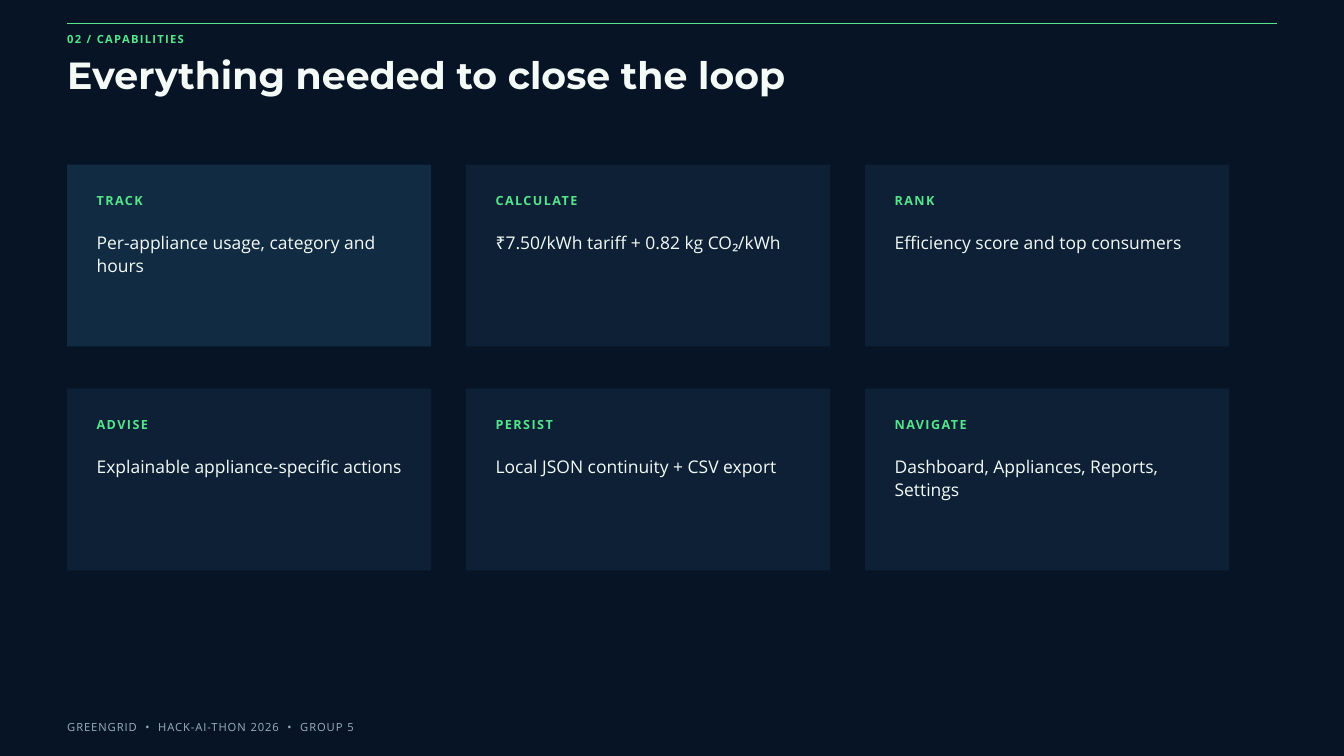
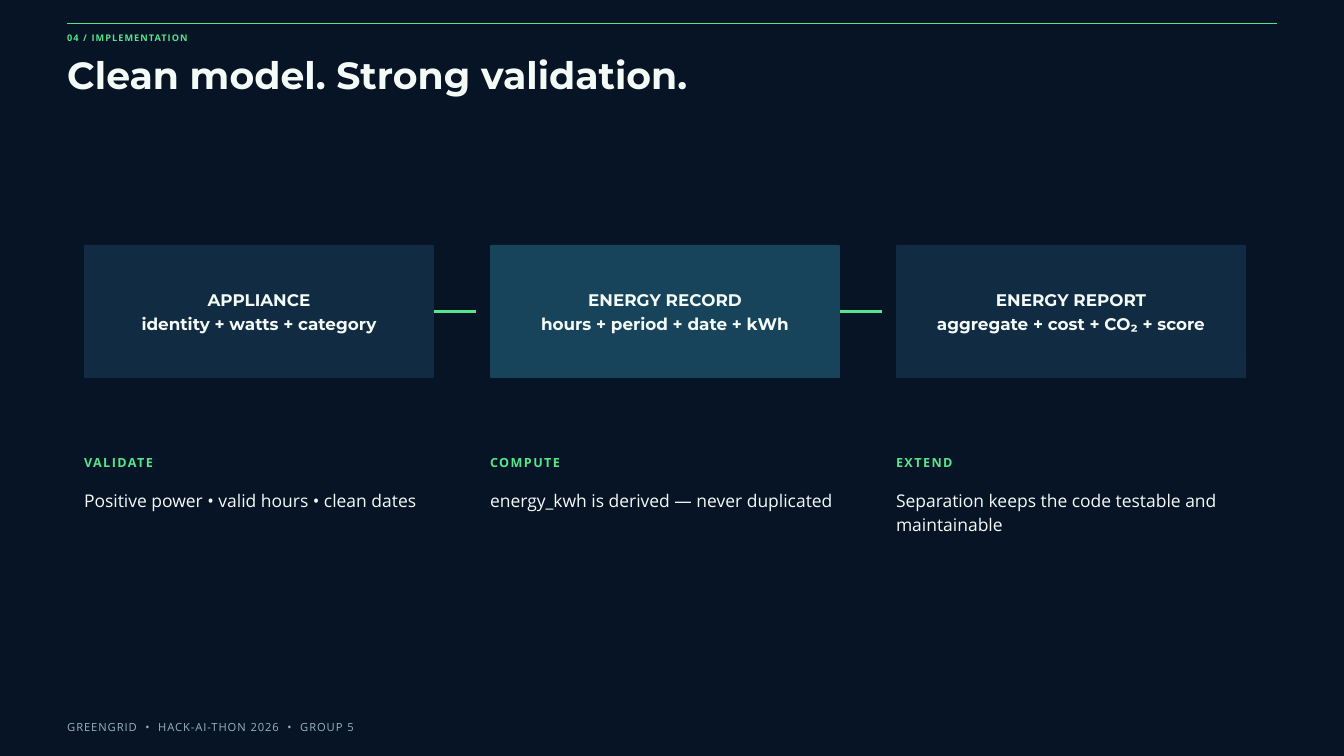
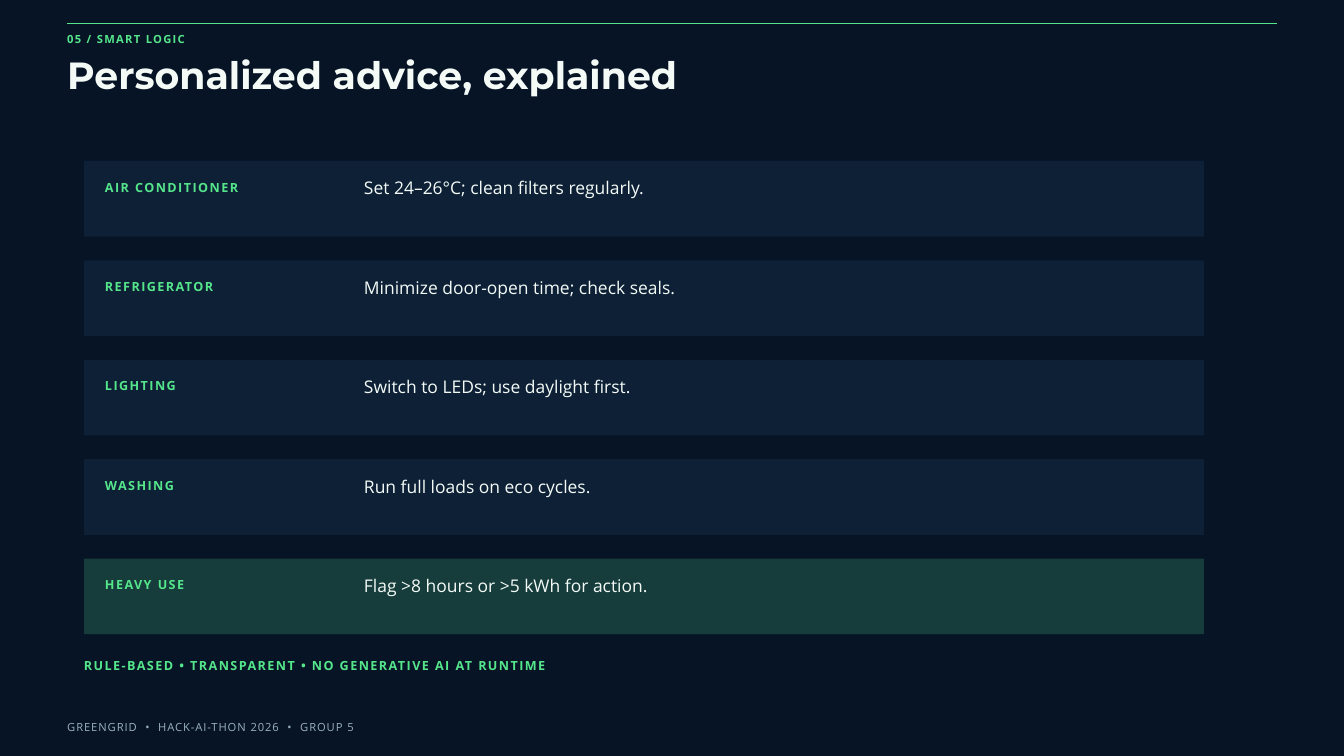
from lxml import etree
from pptx import Presentation
from pptx.dml.color import RGBColor
from pptx.enum.shapes import MSO_CONNECTOR, MSO_SHAPE
from pptx.enum.text import MSO_ANCHOR, MSO_AUTO_SIZE, PP_ALIGN
from pptx.oxml.ns import qn
from pptx.util import Inches, Pt

STRAIGHT = MSO_CONNECTOR.STRAIGHT
RECTANGLE, ROUNDED = MSO_SHAPE.RECTANGLE, MSO_SHAPE.ROUNDED_RECTANGLE
LEFT, CENTER = PP_ALIGN.LEFT, PP_ALIGN.CENTER
TOP, MIDDLE = MSO_ANCHOR.TOP, MSO_ANCHOR.MIDDLE
GROW = MSO_AUTO_SIZE.SHAPE_TO_FIT_TEXT
RIGHT_SIDE = 3

COLORS = {
    "night": "071426",
    "panel": "0D2036",
    "panel_light": "112B43",
    "teal": "17445A",
    "forest": "163D3C",
    "green": "55E68B",
    "white": "F4FBF7",
    "muted": "9BB1BD",
}
HEADING_FONT, BODY_FONT = "Montserrat", "Open Sans"
GRID_COLUMNS, GRID_ROWS = 96, 54

TEXT_STYLES = {
    "eyebrow": dict(size=12, color="green", bold=True, tracking=1.4),
    "small_eyebrow": dict(size=9.75, color="green", bold=True, tracking=1.2),
    "title": dict(size=40.5, font=HEADING_FONT, bold=True, leading=1.08),
    "label": dict(size=13.5, color="green", bold=True, tracking=1.6),
    "body": dict(size=18.75, leading=1.35),
    "node": dict(size=18, font=HEADING_FONT, bold=True, align=CENTER),
    "footer": dict(size=12, color="muted", tracking=1),
}
FOOTER = "GREENGRID  •  HACK-AI-THON 2026  •  GROUP 5"


def rgb(name):
    return RGBColor.from_string(COLORS[name])


def write_text(frame, text, *, size, font=BODY_FONT, color="white", bold=False,
               tracking=0, leading=1.4, align=LEFT, anchor=TOP, insets=(0, 0, 0, 0)):
    """Fill a frame, one paragraph per line; insets run left, top, right, bottom."""
    frame.word_wrap = True
    frame.vertical_anchor = anchor
    (frame.margin_left, frame.margin_top,
     frame.margin_right, frame.margin_bottom) = map(Inches, insets)
    for index, line in enumerate(text.split("\n")):
        para = frame.add_paragraph() if index else frame.paragraphs[0]
        para.alignment = align
        para.line_spacing = Pt(size * leading)
        span = para.add_run()
        span.text = line
        span.font.name = font
        span.font.size = Pt(size)
        span.font.bold = bold
        span.font.color.rgb = rgb(color)
        if tracking:
            span.font._element.set("spc", str(round(tracking * 100)))


class Deck:
    """Holds the presentation, its grid and the current slide."""

    def __init__(self):
        self.presentation = Presentation()
        self.presentation.slide_width = Inches(20)
        self.presentation.slide_height = Inches(11.25)
        self.page = None

    def across(self, columns):
        return round(self.presentation.slide_width * columns / GRID_COLUMNS)

    def down(self, rows):
        return round(self.presentation.slide_height * rows / GRID_ROWS)

    def place(self, column, row, width, height):
        return self.across(column), self.down(row), self.across(width), self.down(height)

    def new_page(self, eyebrow, title, eyebrow_style="eyebrow"):
        self.page = self.presentation.slides.add_slide(self.presentation.slide_layouts[6])
        background = self.page.background.fill
        background.solid()
        background.fore_color.rgb = rgb("night")
        self.line(4.8, 1.7, 91.2, weight=1.5)
        self.text(eyebrow, 4.8, 2.16, 9, eyebrow_style)
        self.text(title, 4.8, 4, 75, "title")
        self.text(FOOTER, 4.8, 51.3, 45, "footer")

    def text(self, text, column, row, width, style):
        box = self.page.shapes.add_textbox(*self.place(column, row, width, 1.1))
        write_text(box.text_frame, text, **TEXT_STYLES[style])
        box.text_frame.auto_size = GROW

    def panel(self, column, row, width, height, color, shape=RECTANGLE):
        box = self.page.shapes.add_shape(shape, *self.place(column, row, width, height))
        box.shadow.inherit = False
        box.fill.solid()
        box.fill.fore_color.rgb = rgb(color)
        box.line.fill.background()
        return box

    def node(self, text, column, row, width, height, color):
        box = self.panel(column, row, width, height, color, ROUNDED)
        box.adjustments[0] = 0.01
        write_text(box.text_frame, text, anchor=MIDDLE,
                   insets=(0.06, 0.02, 0.06, 0.06), **TEXT_STYLES["node"])
        return box

    def line(self, start, row, end, weight, source=None):
        """Draw a level line, joined to the right side of source if given."""
        y = self.down(row)
        line = self.page.shapes.add_connector(
            STRAIGHT, self.across(start), y, self.across(end), y)
        line.line.color.rgb = rgb("green")
        line.line.width = Pt(weight)
        etree.SubElement(line._element.spPr, qn("a:effectLst"))
        if source is not None:
            line.begin_connect(source, RIGHT_SIDE)


def build_capabilities(deck):
    deck.new_page("02 / CAPABILITIES", "Everything needed to close the loop")
    cards = [
        ("TRACK", "Per-appliance usage, category and hours"),
        ("CALCULATE", "₹7.50/kWh tariff + 0.82 kg CO₂/kWh"),
        ("RANK", "Efficiency score and top consumers"),
        ("ADVISE", "Explainable appliance-specific actions"),
        ("PERSIST", "Local JSON continuity + CSV export"),
        ("NAVIGATE", "Dashboard, Appliances, Reports, Settings"),
    ]
    for index, (label, body) in enumerate(cards):
        column = 4.8 + index % 3 * 28.5
        row = 11.75 + index // 3 * 16
        deck.panel(column, row, 26, 13, "panel" if index else "panel_light")
        deck.text(label, column + 2.1, row + 1.88, 23.5, "label")
        deck.text(body, column + 2.1, row + 4.62, 23.5, "body")


def build_implementation(deck):
    deck.new_page("04 / IMPLEMENTATION", "Clean model. Strong validation.", "small_eyebrow")
    steps = [
        ("APPLIANCE\nidentity + watts + category", "panel_light",
         "VALIDATE", "Positive power • valid hours • clean dates"),
        ("ENERGY RECORD\nhours + period + date + kWh", "teal",
         "COMPUTE", "energy_kwh is derived — never duplicated"),
        ("ENERGY REPORT\naggregate + cost + CO₂ + score", "panel_light",
         "EXTEND", "Separation keeps the code testable and maintainable"),
    ]
    top, width, height = 17.5, 25, 9.5
    for index, (model, color, label, body) in enumerate(steps):
        column = 6 + index * 29
        node = deck.node(model, column, top, width, height, color)
        if index < len(steps) - 1:
            right = column + width
            deck.line(right, top + height / 2, right + 3, weight=3.75, source=node)
        deck.text(label, column, 32.35, width, "label")
        deck.text(body, column, 34.85, width, "body")


def build_smart_logic(deck):
    deck.new_page("05 / SMART LOGIC", "Personalized advice, explained")
    rules = [
        ("AIR CONDITIONER", "Set 24–26°C; clean filters regularly.", "panel"),
        ("REFRIGERATOR", "Minimize door-open time; check seals.", "panel"),
        ("LIGHTING", "Switch to LEDs; use daylight first.", "panel"),
        ("WASHING", "Run full loads on eco cycles.", "panel"),
        ("HEAVY USE", "Flag >8 hours or >5 kWh for action.", "forest"),
    ]
    for index, (label, advice, color) in enumerate(rules):
        row = 11.5 + index * 7.1
        deck.panel(6, row, 80, 5.4, color)
        deck.text(label, 7.5, row + 1.14, 17, "label")
        deck.text(advice, 26, row + 0.98, 54, "body")
    deck.text("RULE-BASED • TRANSPARENT • NO GENERATIVE AI AT RUNTIME", 6, 46.85, 60, "label")


def main():
    deck = Deck()
    build_capabilities(deck)
    build_implementation(deck)
    build_smart_logic(deck)
    deck.presentation.save("out.pptx")


if __name__ == "__main__":
    main()
